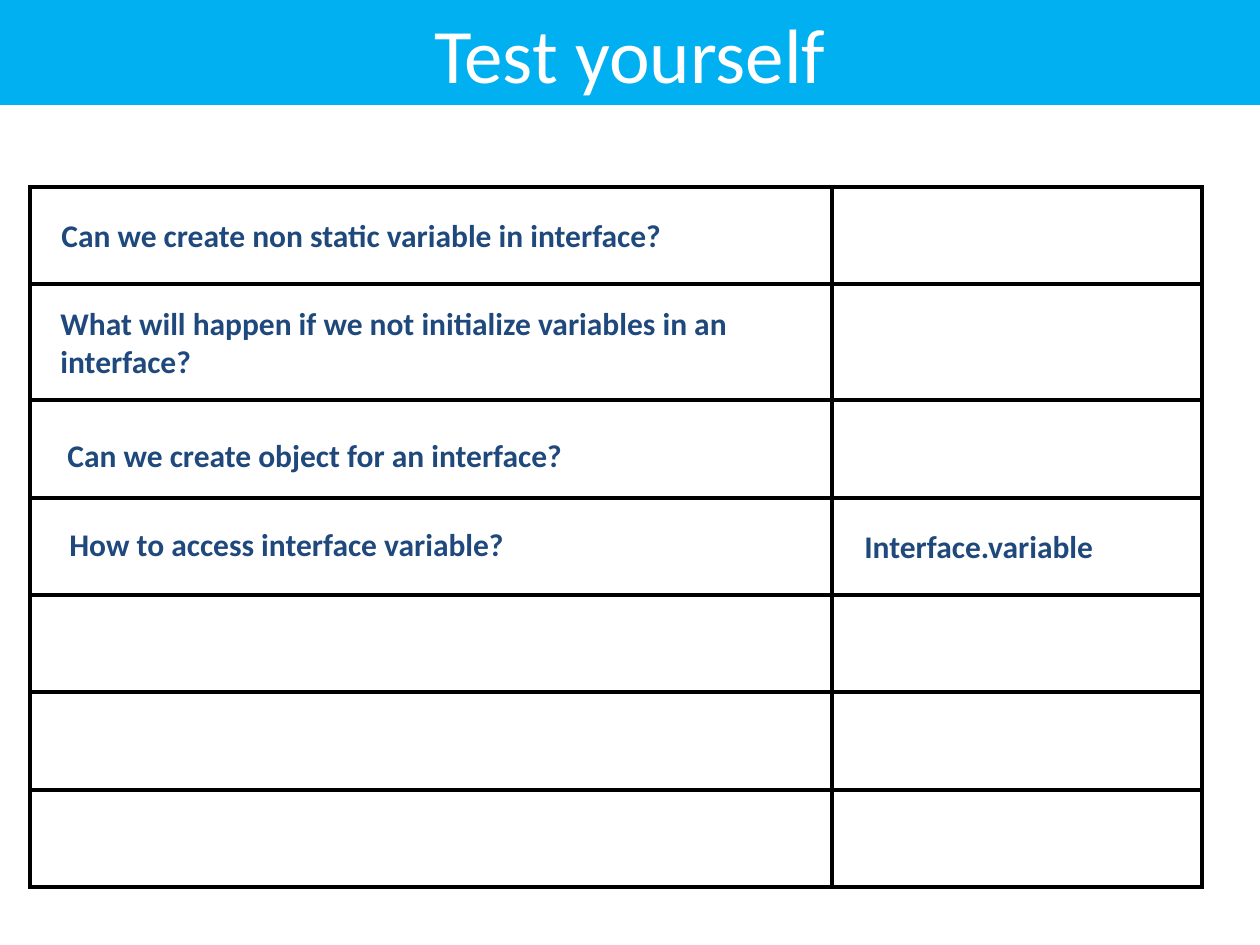
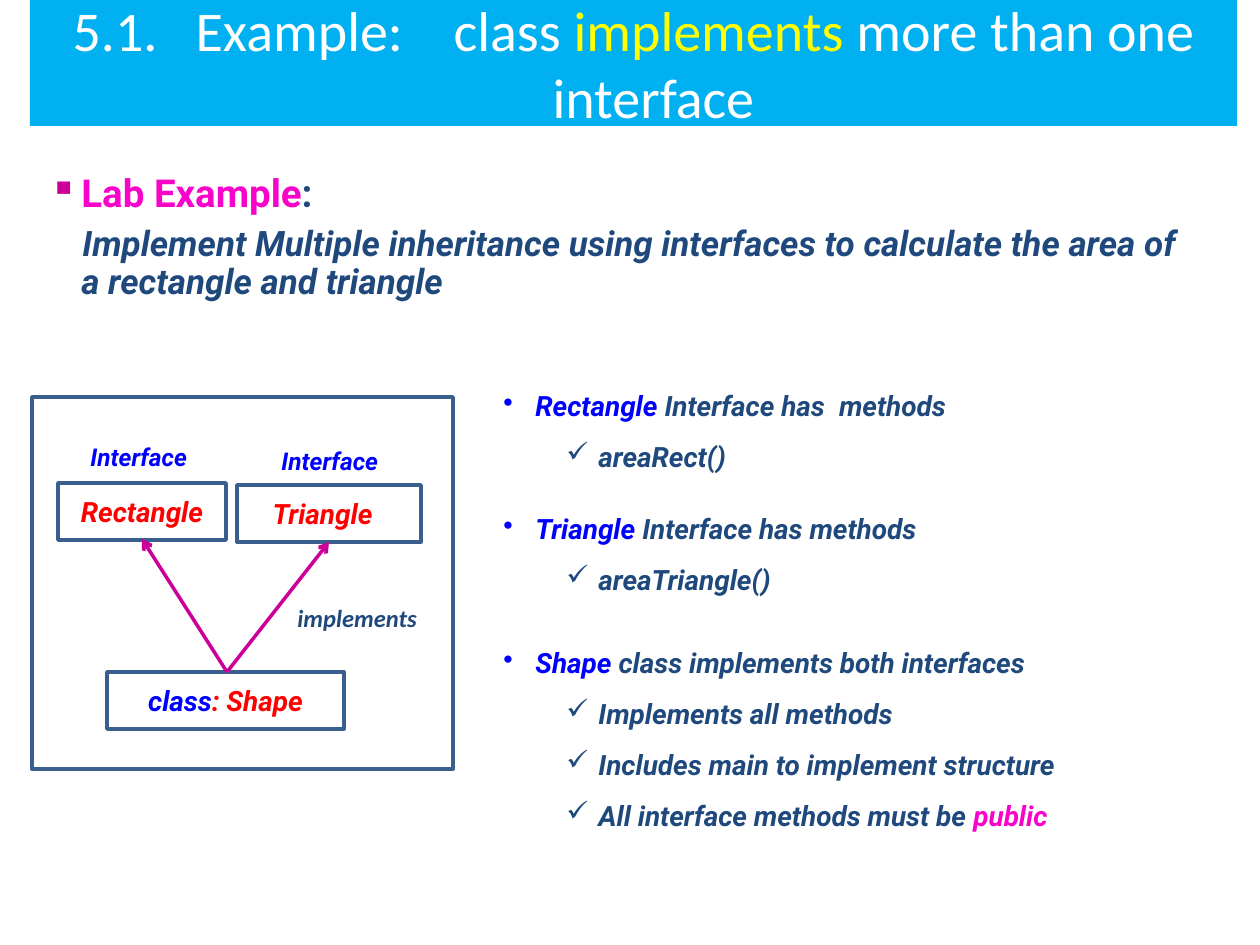
from itertools import pairwise

from lxml import etree
from pptx import Presentation, util as u
from pptx.dml.color import RGBColor
from pptx.enum import shapes, text
from pptx.oxml import ns

# Shared look
SKY = RGBColor(0x00, 0xB0, 0xF0)
WHITE = RGBColor(0xFF, 0xFF, 0xFF)
BLACK = RGBColor(0x00, 0x00, 0x00)
NAVY = RGBColor(0x1F, 0x49, 0x7D)
STEEL = RGBColor(0x3A, 0x5F, 0x8C)
BLUE = RGBColor(0x00, 0x00, 0xFF)
RED = RGBColor(0xFF, 0x00, 0x00)
PINK = RGBColor(0xF7, 0x03, 0xC9)
MAGENTA = RGBColor(0xCC, 0x00, 0x99)
YELLOW = RGBColor(0xFF, 0xFF, 0x00)
PX = u.Inches(1) / 126

TITLE = {"name": "Calibri", "size": 44}
QUESTION = {"name": "Calibri", "size": 18, "bold": True}
LAB = {"name": "Roboto", "size": 22, "bold": True}
TASK = LAB | {"size": 20, "italic": True}
POINT = TASK | {"size": 16}
LABEL = TASK | {"size": 14}
VERB = LABEL | {"name": "Calibri"}

# Slide 1: question grid and the texts lying on it (left, top, width, height)
COLUMN_EDGES = [30, 832, 1202]
ROW_EDGES = [187, 284, 400, 498, 595, 692, 790, 887]
ANSWERS = [
    ("Can we create non static variable in interface?", (49, 210, 793, 50)),
    ("What will happen if we not initialize variables in an interface?", (48, 298, 801, 89)),
    ("Can we create object for an interface?", (55, 430, 600, 50)),
    ("How to access interface variable?", (57, 519, 537, 50)),
    ("Interface.variable", (852, 521, 287, 50)),
]

# Slide 2: spans are (text, colour) or (text, colour, extra letter spacing in 1/100 pt)
EXAMPLE_TITLE = [
    ("5.1.", WHITE), (" ", WHITE, 1440), ("Example:", WHITE), (" ", WHITE, 2160),
    ("class ", WHITE), ("implements", YELLOW), (" more than one interface", WHITE),
]
TASK_TEXT = ("Implement Multiple inheritance using interfaces to calculate "
             "the area of a rectangle and triangle")
# (spans, level, space before, line spacing)
METHODS = [
    ([("Rectangle ", BLUE), ("Interface has", NAVY), (" ", NAVY, 400), ("methods", NAVY)],
     0, 0, 0.9),
    ([("areaRect()", NAVY)], 1, 12, 0.9),
    ([("Triangle ", BLUE), ("Interface has methods", NAVY)], 0, 24, 0.9),
    ([("areaTriangle()", NAVY)], 1, 12, 0.9),
    ([("Shape ", BLUE), ("class implements both interfaces", NAVY)], 0, 24, 1.2),
    ([("Implements all methods", NAVY)], 1, 12, 0.9),
    ([("Includes main to implement structure", NAVY)], 1, 12, 0.9),
    ([("All interface methods must be ", NAVY), ("public", PINK)], 1, 12, 0.9),
]
BULLETS = [("•", 32), ("✓", 95)]

# Class diagram: (spans, place, insets)
FRAME = (32, 397, 421, 372)
NODES = [
    ([("Rectangle", RED)], (58, 483, 168, 57), (13, 6, 13, 6)),
    ([("Triangle", RED)], (237, 485, 184, 57), (0, 6, 13, 6)),
    ([("class", BLUE), (": Shape", RED)], (107, 672, 237, 57), (6, 6, 6, 6)),
]
ARROW_START = (227, 672)
ARROW_ENDS = [(142, 539), (329, 542)]
LABELS = [
    ("Interface", BLUE, (78, 436, 131, 43), LABEL),
    ("Interface", BLUE, (269, 440, 131, 43), LABEL),
    ("implements", NAVY, (285, 597, 176, 43), VERB),
]


def px(*lengths):
    return [u.Emu(round(length * PX)) for length in lengths]


def add_xml(parent, tag, **attributes):
    return etree.SubElement(parent, ns.qn(tag), attributes)


def write(para, spans, style, before=0, spacing=1.0, align=None,
          margin=0, indent=0, bullet=None, bullet_color=None):
    props = para._p.get_or_add_pPr()
    left, first = px(margin, indent)
    props.set("marL", str(left))
    props.set("indent", str(first))
    if bullet_color is not None:
        add_xml(add_xml(props, "a:buClr"), "a:srgbClr", val=str(bullet_color))
    if bullet:
        add_xml(props, "a:buChar", char=bullet)
    para.space_before = u.Pt(before)
    para.line_spacing = spacing
    para.alignment = align
    for content, color, *gap in spans:
        span = para.add_run()
        span.text = content
        for key, value in style.items():
            setattr(span.font, key, u.Pt(value) if key == "size" else value)
        span.font.color.rgb = color
        if gap:
            span._r.get_or_add_rPr().set("spc", str(gap[0]))


def add_box(parts, place):
    box = parts.add_textbox(*px(*place))
    box.text_frame.word_wrap = True
    return box.text_frame


def add_rect(parts, place, fill, line=None):
    rect = parts.add_shape(shapes.MSO_SHAPE.RECTANGLE, *px(*place))
    rect.shadow.inherit = False
    rect.fill.solid()
    rect.fill.fore_color.rgb = fill
    if line is None:
        rect.line.fill.background()
    else:
        rect.line.color.rgb = line
        rect.line.width = u.Pt(2)
    rect.text_frame.word_wrap = True
    rect.text_frame.vertical_anchor = text.MSO_ANCHOR.MIDDLE
    return rect.text_frame


def add_title(page, place, spans, style=TITLE, **layout):
    frame = add_rect(page.shapes, place, SKY)
    write(frame.paragraphs[0], spans, style, align=text.PP_ALIGN.CENTER, **layout)


def add_grid(page):
    widths = [b - a for a, b in pairwise(COLUMN_EDGES)]
    heights = [b - a for a, b in pairwise(ROW_EDGES)]
    place = px(COLUMN_EDGES[0], ROW_EDGES[0], sum(widths), sum(heights))
    grid = page.shapes.add_table(len(heights), len(widths), *place).table
    for column, width in zip(grid.columns, px(*widths)):
        column.width = width
    for row, height in zip(grid.rows, px(*heights)):
        row.height = height
    for cell in grid.iter_cells():
        props = cell._tc.get_or_add_tcPr()
        for side in ("a:lnL", "a:lnR", "a:lnT", "a:lnB"):
            edge = add_xml(props, side, w=str(u.Pt(2.25)))
            add_xml(add_xml(edge, "a:solidFill"), "a:srgbClr", val=str(BLACK))
        cell.fill.solid()
        cell.fill.fore_color.rgb = WHITE


def add_arrow(parts, start, end):
    arrow = parts.add_connector(shapes.MSO_CONNECTOR.STRAIGHT, *px(*start, *end))
    arrow.line.color.rgb = MAGENTA
    arrow.line.width = u.Pt(2)
    add_xml(arrow.line._get_or_add_ln(), "a:tailEnd", type="arrow")
    add_xml(arrow._element.spPr, "a:effectLst")


def add_diagram(page):
    parts = page.shapes.add_group_shape().shapes
    add_rect(parts, FRAME, WHITE, STEEL)
    for spans, place, insets in NODES:
        frame = add_rect(parts, place, WHITE, STEEL)
        for side, inset in zip(("left", "top", "right", "bottom"), px(*insets)):
            setattr(frame, f"margin_{side}", inset)
        write(frame.paragraphs[0], spans, POINT, align=text.PP_ALIGN.CENTER)
    for end in ARROW_ENDS:
        add_arrow(parts, ARROW_START, end)
    for content, color, place, style in LABELS:
        write(add_box(parts, place).paragraphs[0], [(content, color)], style)


def build_quiz(page):
    add_title(page, (0, 0, 1260, 105), [("Test yourself", WHITE)])
    add_grid(page)
    for content, place in ANSWERS:
        write(add_box(page.shapes, place).paragraphs[0], [(content, NAVY)], QUESTION)


def build_example(page):
    # Lab task
    body = add_box(page.shapes, (37, 168, 1164, 683))
    write(body.paragraphs[0], [("Lab Example", PINK), (":", NAVY)], LAB, spacing=0.9,
          margin=32, indent=-32, bullet="▪", bullet_color=MAGENTA)
    write(body.add_paragraph(), [(TASK_TEXT, NAVY)], TASK, before=6, spacing=0.9,
          margin=32, indent=1)
    add_title(page, (30, 0, 1207, 126), EXAMPLE_TITLE, TITLE | {"size": 32},
              margin=40, indent=-48)
    # Method list
    methods = add_box(page.shapes, (491, 386, 723, 466))
    for index, (spans, level, before, spacing) in enumerate(METHODS):
        para = methods.add_paragraph() if index else methods.paragraphs[0]
        para.level = level
        bullet, margin = BULLETS[level]
        write(para, spans, POINT, before, spacing, margin=margin, indent=-32, bullet=bullet)
    add_diagram(page)


def main():
    deck = Presentation()
    deck.slide_width, deck.slide_height = px(1260, 945)
    for build in (build_quiz, build_example):
        build(deck.slides.add_slide(deck.slide_layouts[6]))
    deck.save("out.pptx")


if __name__ == "__main__":
    main()
